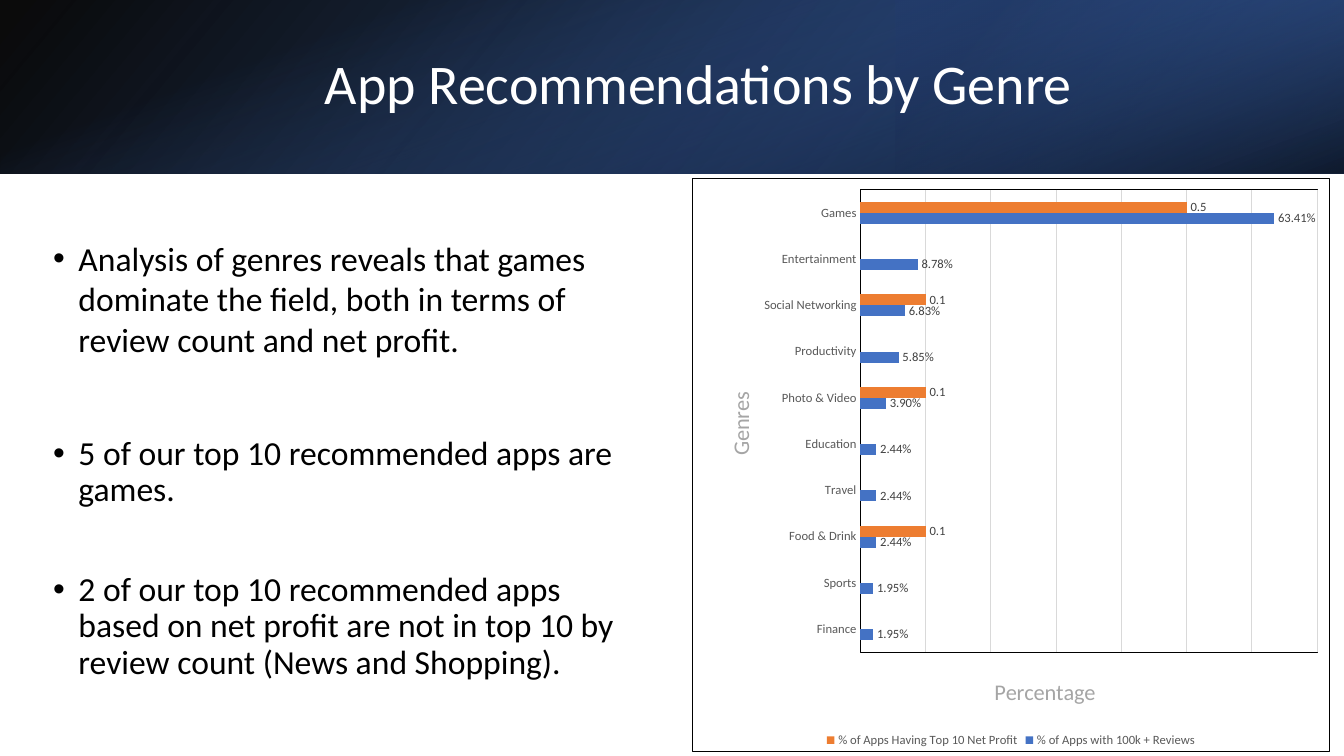
from dataclasses import dataclass

from lxml import etree
from pptx import Presentation
from pptx.chart.data import CategoryChartData
from pptx.dml.color import RGBColor
from pptx.enum.chart import XL_CHART_TYPE as ChartType
from pptx.enum.chart import XL_LABEL_POSITION as LabelPosition
from pptx.enum.chart import XL_LEGEND_POSITION as LegendPosition
from pptx.enum.chart import XL_TICK_MARK as TickMark
from pptx.enum.shapes import MSO_SHAPE as Preset
from pptx.enum.text import MSO_ANCHOR as Anchor
from pptx.enum.text import PP_ALIGN as Align
from pptx.oxml import parse_xml
from pptx.oxml.ns import nsdecls, qn
from pptx.util import Inches, Pt


@dataclass(frozen=True)
class Theme:
    font: str = "Calibri"
    black: str = "000000"
    white: str = "FFFFFF"
    blue: str = "4472C4"
    deep_blue: str = "2F5597"
    navy: str = "203864"
    orange: str = "ED7D31"
    grid: str = "D9D9D9"
    axis_title: str = "A5A5A5"
    axis_text: str = "595959"
    label_text: str = "404040"
    title_size: int = 40
    body_size: int = 24
    axis_title_size: int = 16
    chart_size: int = 10
    small_size: int = 9


THEME = Theme()
SLIDE_WIDTH, SLIDE_HEIGHT = 13.33, 7.5

BULLETS = [
    (2.31, 1.0, "Analysis of genres reveals that games dominate the field, "
                "both in terms of review count and net profit."),
    (4.28, 0.9, "5 of our top 10 recommended apps are games."),
    (5.63, 0.9, "2 of our top 10 recommended apps based on net profit are not "
                "in top 10 by review count (News and Shopping)."),
]

GENRES = [
    ("Finance", 0.0195, None),
    ("Sports", 0.0195, None),
    ("Food & Drink", 0.0244, 0.1),
    ("Travel", 0.0244, None),
    ("Education", 0.0244, None),
    ("Photo & Video", 0.039, 0.1),
    ("Productivity", 0.0585, None),
    ("Social Networking", 0.0683, 0.1),
    ("Entertainment", 0.0878, None),
    ("Games", 0.6341, 0.5),
]


def set_font(font, size, color):
    font.name = THEME.font
    font.size = Pt(size)
    font.bold = False
    font.color.rgb = RGBColor.from_string(color)


def write_text(frame, text, size, color, align=Align.LEFT, spacing=None, bullet=False):
    para = frame.paragraphs[0]
    if bullet:
        properties = para._p.get_or_add_pPr()
        properties.set("marL", str(Inches(0.25)))
        properties.set("indent", str(-Inches(0.25)))
        etree.SubElement(properties, qn("a:buFont")).set("typeface", "Arial")
        etree.SubElement(properties, qn("a:buChar")).set("char", "•")
    para.alignment = align
    if spacing:
        para.line_spacing = spacing
    span = para.add_run()
    span.text = text
    set_font(span.font, size, color)


def add_text(page, box, text, anchor=Anchor.TOP, **style):
    shape = page.shapes.add_textbox(*map(Inches, box))
    frame = shape.text_frame
    frame.word_wrap = True
    frame.vertical_anchor = anchor
    write_text(frame, text, **style)


def add_gradient(page, box, stops, angle, rotation=0, flip=False):
    shape = page.shapes.add_shape(Preset.RECTANGLE, *map(Inches, box))
    shape.shadow.inherit = False
    shape.line.fill.background()
    shape.rotation = rotation
    properties = shape.element.spPr
    if flip:
        properties.find(qn("a:xfrm")).set("flipH", "1")
    stop_xml = "".join(
        f'<a:gs pos="{position * 1000}"><a:srgbClr val="{color}">'
        f'<a:alpha val="{opacity * 1000}"/></a:srgbClr></a:gs>'
        for position, color, opacity in stops
    )
    properties.find(qn("a:prstGeom")).addnext(parse_xml(
        f'<a:gradFill {nsdecls("a")}><a:gsLst>{stop_xml}</a:gsLst>'
        f'<a:lin ang="{angle * 60000}" scaled="0"/></a:gradFill>'
    ))


def add_header(page, box):
    left, top, width, height = box
    add_gradient(page, box, [(0, THEME.black, 96), (100, THEME.deep_blue, 100)],
                 140, flip=True)
    add_gradient(page, (left + width * 2 / 3, top, width / 3, height),
                 [(19, THEME.navy, 68), (100, THEME.blue, 79)],
                 320, rotation=180, flip=True)
    inset = (width - height) / 2
    add_gradient(page, (left + inset, top - inset, height, width),
                 [(23, THEME.blue, 0), (99, THEME.black, 74)], 340, rotation=90)
    add_text(page, (left + 1.5, top + 0.38, 10.98, 0.96),
             "App Recommendations by Genre ", anchor=Anchor.MIDDLE,
             size=THEME.title_size, color=THEME.white, align=Align.CENTER, spacing=0.9)


def add_findings(page, box):
    left, top, width, height = box
    for offset, spacing, text in BULLETS:
        add_text(page, (left, offset, width, 0.6), text, size=THEME.body_size,
                 color=THEME.black, spacing=spacing, bullet=True)


def layout_xml(x, y, width=None, height=None):
    size = ""
    target = ""
    if width:
        target = '<c:layoutTarget val="inner"/>'
        size = f'<c:w val="{width}"/><c:h val="{height}"/>'
    return parse_xml(
        f'<c:layout {nsdecls("c")}><c:manualLayout>{target}<c:xMode val="edge"/>'
        f'<c:yMode val="edge"/><c:x val="{x}"/><c:y val="{y}"/>{size}'
        '</c:manualLayout></c:layout>'
    )


def border_xml():
    return parse_xml(
        f'<c:spPr {nsdecls("c", "a")}><a:noFill/><a:ln w="{Pt(0.75)}"><a:solidFill>'
        f'<a:srgbClr val="{THEME.black}"/></a:solidFill></a:ln></c:spPr>'
    )


def title_axis(axis, text, x, y):
    write_text(axis.axis_title.text_frame, text, size=THEME.axis_title_size,
               color=THEME.axis_title, align=Align.CENTER)
    title = axis.axis_title.element if hasattr(axis.axis_title, "element") else axis.axis_title._element
    for layout in title.findall(qn("c:layout")):
        title.remove(layout)
    title.find(qn("c:tx")).addnext(layout_xml(x, y))
    return title


def style_axes(chart):
    genre_axis, value_axis = chart.category_axis, chart.value_axis
    genre_axis.major_tick_mark = TickMark.NONE
    genre_axis.format.line.color.rgb = RGBColor.from_string(THEME.black)
    genre_axis.format.line.width = Pt(0.75)
    set_font(genre_axis.tick_labels.font, THEME.small_size, THEME.axis_text)
    title = title_axis(genre_axis, "Genres", 0.046, 0.365)
    body = title.find(".//" + qn("a:bodyPr"))
    body.set("rot", "-5400000")
    body.set("vert", "horz")

    value_axis.minimum_scale, value_axis.maximum_scale = 0, 0.7
    value_axis.major_unit = 0.1
    value_axis.tick_labels.number_format = "0.00%"
    value_axis.tick_labels.number_format_is_linked = False
    grid = value_axis.major_gridlines.format.line
    grid.color.rgb = RGBColor.from_string(THEME.grid)
    grid.width = Pt(0.75)
    title_axis(value_axis, "Percentage", 0.468, 0.863)
    value_axis.visible = False


def add_genre_chart(page, box):
    names, reviews, profits = zip(*GENRES)
    data = CategoryChartData()
    data.categories = names
    data.add_series("% of Apps with 100k + Reviews", reviews)
    data.add_series("% of Apps Having Top 10 Net Profit", profits)
    chart = page.shapes.add_chart(ChartType.BAR_CLUSTERED, *map(Inches, box), data).chart
    set_font(chart.font, THEME.chart_size, THEME.black)
    chart.has_title = False
    chart.has_legend = True
    chart.legend.position = LegendPosition.BOTTOM
    chart.legend.include_in_layout = False
    set_font(chart.legend.font, THEME.small_size, THEME.axis_text)

    plot = chart.plots[0]
    plot.gap_width = 219
    plot.vary_by_categories = False
    formats = [(THEME.blue, "0.00%"), (THEME.orange, "General")]
    for series, (color, number_format) in zip(plot.series, formats):
        series.format.fill.solid()
        series.format.fill.fore_color.rgb = RGBColor.from_string(color)
        labels = series.data_labels
        labels.show_value = True
        labels.position = LabelPosition.OUTSIDE_END
        labels.number_format = number_format
        labels.number_format_is_linked = False
        set_font(labels.font, THEME.small_size, THEME.label_text)
    style_axes(chart)

    chart_body = chart.element.find(qn("c:chart"))
    area = chart_body.find(qn("c:plotArea"))
    for layout in area.findall(qn("c:layout")):
        area.remove(layout)
    area.insert(0, layout_xml(0.264, 0.019, 0.717, 0.808))
    area.append(border_xml())
    chart_body.addnext(border_xml())


def main():
    deck = Presentation()
    deck.slide_width, deck.slide_height = Inches(SLIDE_WIDTH), Inches(SLIDE_HEIGHT)
    page = deck.slides.add_slide(deck.slide_layouts[6])
    add_header(page, (0, 0, SLIDE_WIDTH, 1.72))
    add_findings(page, (0.43, 2.31, 6.04, 3.92))
    add_genre_chart(page, (6.86, 1.77, 6.33, 5.69))
    deck.save("out.pptx")


if __name__ == "__main__":
    main()
